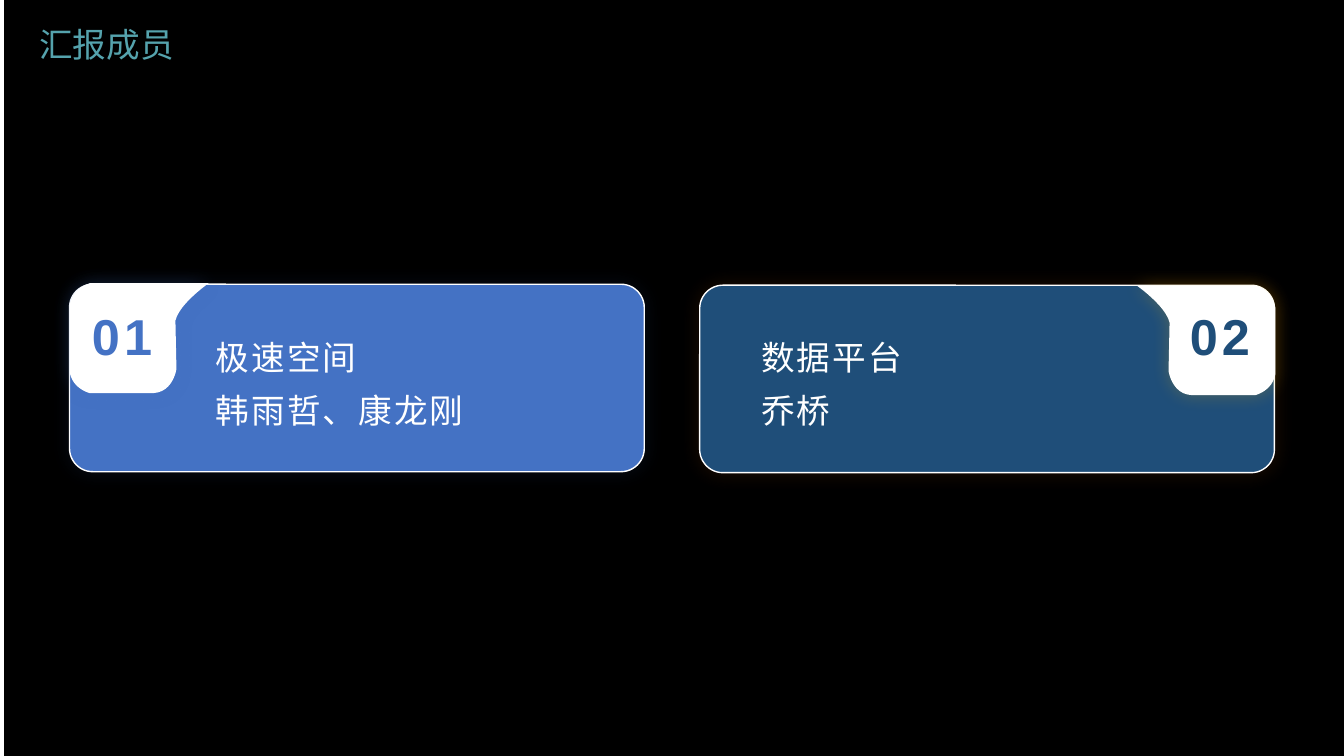
from pptx import Presentation, util as u
from pptx.dml.color import RGBColor
from pptx.enum import shapes, text
from pptx.oxml.ns import qn
from lxml import etree

PX = 9144  # EMU per px, 100 px to the inch

BLACK = RGBColor(0x00, 0x00, 0x00)
WHITE = RGBColor(0xFF, 0xFF, 0xFF)
TEAL = RGBColor(0x55, 0xA3, 0xAD)
BLUE = RGBColor(0x44, 0x72, 0xC4)
NAVY = RGBColor(0x1F, 0x4E, 0x79)
BLUE_GLOW = RGBColor(0x2F, 0x55, 0x97)
ORANGE_GLOW = RGBColor(0xC5, 0x5A, 0x11)
GOLD_GLOW = RGBColor(0xFF, 0xC0, 0x00)
CJK_FONT = "Noto Sans CJK SC"

SLIDE_SIZE = (1333, 750)
TITLE = ("汇报成员", (29, 19, 411, 50))
CARD_SIZE = (570, 186)
CARD_TEXT = (303, 391, 143)  # top, width, height
NUMBER_BOX = (303, 84, 68)
CARDS = [
    dict(number="01", lines=["极速空间", "韩雨哲、康龙刚"], color=BLUE, glow=BLUE_GLOW,
         badge_glow=BLUE, left=69, top=282, text_left=204, number_left=79,
         badge_edge=69, badge_top=281, direction=1),
    dict(number="02", lines=["数据平台", "乔桥"], color=NAVY, glow=ORANGE_GLOW,
         badge_glow=GOLD_GLOW, left=694, top=283, text_left=745, number_left=1168,
         badge_edge=1265, badge_top=283, direction=-1),
]
# Each bend is (start, pull, end); straight edges join one bend to the next.
BADGE_BENDS = [
    ((138, 0), (109, 20), (105, 37)),
    ((106, 85), (103, 108), (83, 109)),
    ((20, 109), (3, 105), (0, 88)),
    ((0, 24), (0, 6), (20, 0)),
]
BEND_STEPS = 12

NUMBER_FORMAT = dict(size=u.Pt(36), bold=True, name="Arial")
BODY_FORMAT = dict(size=u.Pt(24), name="Arial")
TITLE_FORMAT = dict(size=u.Pt(24), name=CJK_FONT)


def emu(*lengths):
    return [length * PX for length in lengths]


def style(shape, fill, line=None, glow=None):
    """Set fill and outline; glow is (color, opacity %, blur pt)."""
    shape.fill.solid()
    shape.fill.fore_color.rgb = fill
    if line is None:
        shape.line.fill.background()
    else:
        shape.line.color.rgb = line
        shape.line.width = u.Pt(1)
    shape.shadow.inherit = False
    if glow:
        color, opacity, blur = glow
        effects = shape._element.spPr.find(qn("a:effectLst"))
        shadow = etree.SubElement(effects, qn("a:outerShdw"), blurRad=str(u.Pt(blur)),
                                  dist="0", dir="0", algn="ctr", rotWithShape="0")
        tint = etree.SubElement(shadow, qn("a:srgbClr"), val=str(color))
        etree.SubElement(tint, qn("a:alpha"), val=str(opacity * 1000))


def add_text(slide, box, lines, color, font_format, tracking=0,
             frame_format=None, paragraph_format=None):
    """Add a text box; tracking is letter spacing in hundredths of a point."""
    frame = slide.shapes.add_textbox(*emu(*box)).text_frame
    frame.word_wrap = True
    for key, value in (frame_format or {}).items():
        setattr(frame, key, value)
    for index, line in enumerate(lines):
        paragraph = frame.add_paragraph() if index else frame.paragraphs[0]
        for key, value in (paragraph_format or {}).items():
            setattr(paragraph, key, value)
        run = paragraph.add_run()
        run.text = line
        run.font.color.rgb = color
        for key, value in font_format.items():
            setattr(run.font, key, value)
        properties = run._r.get_or_add_rPr()
        etree.SubElement(properties, qn("a:ea"), typeface=CJK_FONT)
        if tracking:
            properties.set("spc", str(tracking))


def badge_points(edge, top, direction):
    """Trace the badge outline, mirrored when direction is -1."""
    for start, pull, end in BADGE_BENDS:
        for step in range(BEND_STEPS + 1):
            t = step / BEND_STEPS
            weights = ((1 - t) ** 3 + 3 * t * (1 - t) ** 2, 3 * t * t * (1 - t), t ** 3)
            x, y = (sum(w * value for w, value in zip(weights, axis))
                    for axis in zip(start, pull, end))
            yield (edge + direction * x) * PX, (top + y) * PX


def add_card(slide, card):
    body = slide.shapes.add_shape(shapes.MSO_SHAPE.ROUNDED_RECTANGLE,
                                  *emu(card["left"], card["top"], *CARD_SIZE))
    body.adjustments[0] = 0.124
    style(body, card["color"], WHITE, (card["glow"], 14, 15))

    first, *rest = badge_points(card["badge_edge"], card["badge_top"], card["direction"])
    outline = slide.shapes.build_freeform(*first)
    outline.add_line_segments(rest, close=True)
    style(outline.convert_to_shape(), WHITE, glow=(card["badge_glow"], 22, 13))

    top, width, height = CARD_TEXT
    add_text(slide, (card["text_left"], top, width, height), card["lines"], WHITE,
             BODY_FORMAT, 150, dict(vertical_anchor=text.MSO_ANCHOR.MIDDLE),
             dict(line_spacing=1.3))
    top, width, height = NUMBER_BOX
    margins = {f"margin_{side}": 0 for side in ("left", "top", "right", "bottom")}
    add_text(slide, (card["number_left"], top, width, height), [card["number"]],
             card["color"], NUMBER_FORMAT, 300, margins,
             dict(alignment=text.PP_ALIGN.CENTER))


def main():
    presentation = Presentation()
    presentation.slide_width, presentation.slide_height = emu(*SLIDE_SIZE)
    slide = presentation.slides.add_slide(presentation.slide_layouts[6])
    backdrop = slide.shapes.add_shape(shapes.MSO_SHAPE.RECTANGLE, *emu(4, 0, *SLIDE_SIZE))
    style(backdrop, BLACK)
    for card in CARDS:
        add_card(slide, card)
    title, box = TITLE
    add_text(slide, box, [title], TEAL, TITLE_FORMAT,
             frame_format=dict(auto_size=text.MSO_AUTO_SIZE.SHAPE_TO_FIT_TEXT))
    presentation.save("out.pptx")


if __name__ == "__main__":
    main()
